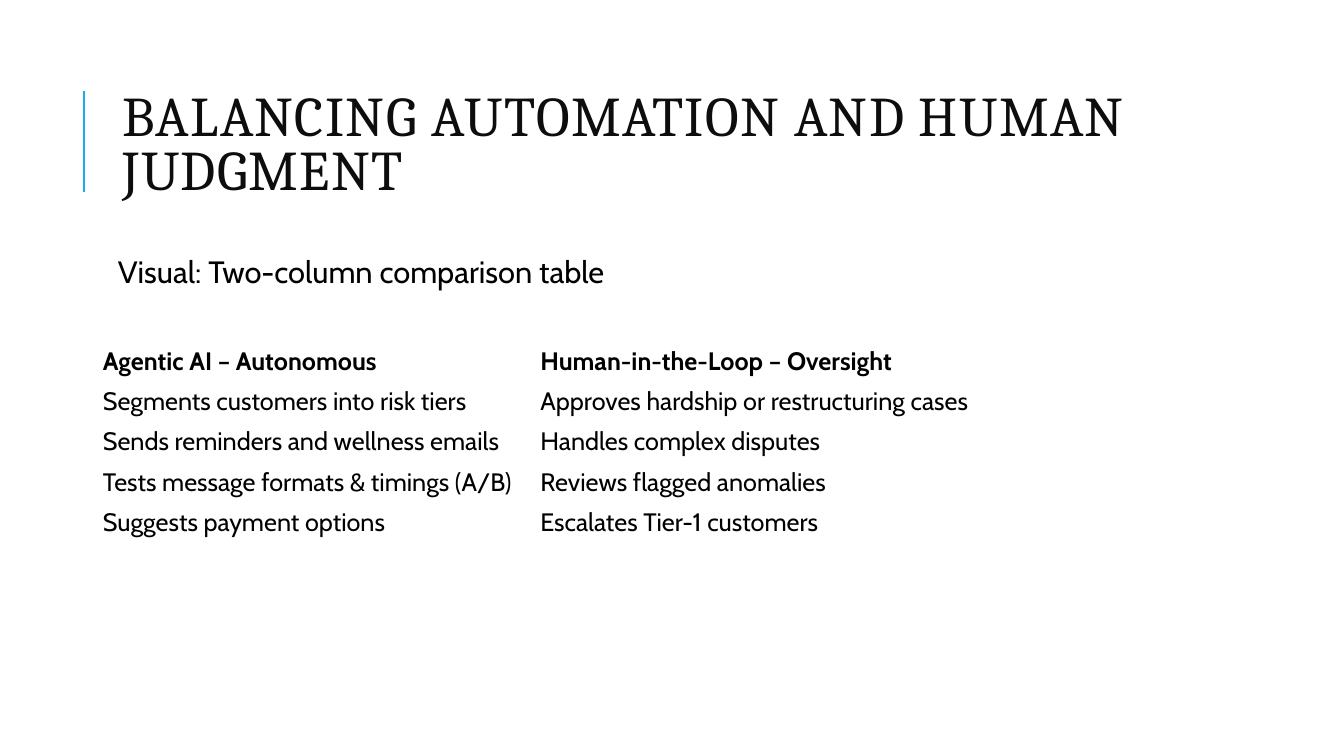
from pptx import Presentation
from pptx.dml.color import RGBColor
from pptx.enum.shapes import MSO_CONNECTOR
from pptx.enum.text import MSO_ANCHOR
from pptx.oxml.ns import qn
from pptx.util import Inches, Pt

# Content
TITLE = "BALANCING AUTOMATION AND HUMAN JUDGMENT"
SUBTITLE = "Visual: Two-column comparison table"
COMPARISON = [
    ("Agentic AI – Autonomous", "Human-in-the-Loop – Oversight"),
    ("Segments customers into risk tiers", "Approves hardship or restructuring cases"),
    ("Sends reminders and wellness emails", "Handles complex disputes"),
    ("Tests message formats & timings (A/B)", "Reviews flagged anomalies"),
    ("Suggests payment options", "Escalates Tier-1 customers"),
]

# Layout and style, lengths in inches
TEXT_LEFT, TEXT_WIDTH = 1.12, 10.63
TABLE_LEFT, TABLE_TOP = 0.92, 3.38
COLUMN_WIDTHS = (4.34, 7.29)
ROW_HEIGHT = 0.4
BLACK, NEAR_BLACK, ACCENT = "000000", "0D0D0D", "1CADE4"


def color(hex_code):
    return RGBColor.from_string(hex_code)


def write(text_frame, text, font, size, hex_code, bold=False):
    text_frame.text = text
    para = text_frame.paragraphs[0]
    span = para.runs[0]
    span.font.name = font
    span.font.size = Pt(size)
    span.font.bold = bold
    span.font.color.rgb = color(hex_code)
    return para


def add_text_box(page, top, height):
    box = page.shapes.add_textbox(
        Inches(TEXT_LEFT), Inches(top), Inches(TEXT_WIDTH), Inches(height))
    box.text_frame.word_wrap = True
    return box.text_frame


deck = Presentation()
deck.slide_width, deck.slide_height = Inches(13.33), Inches(7.5)
page = deck.slides.add_slide(deck.slide_layouts[6])

# Accent line beside the title
accent = page.shapes.add_connector(
    MSO_CONNECTOR.STRAIGHT, Inches(0.83), Inches(1.9), Inches(0.83), Inches(0.9))
accent.line.color.rgb = color(ACCENT)
accent.line.width = Pt(1.5)
properties = accent._element.spPr
properties.append(properties.makeelement(qn("a:effectLst"), {}))

# Title, with letters spaced by one point
title = add_text_box(page, 0.64, 1.64)
title.vertical_anchor = MSO_ANCHOR.MIDDLE
para = write(title, TITLE, "Cambria", 40, NEAR_BLACK)
para.line_spacing = 0.8
para.runs[0].font._element.set("spc", "100")

# Subtitle
subtitle = add_text_box(page, 2.5, 4.4)
subtitle.margin_left = subtitle.margin_right = Inches(0.05)
para = write(subtitle, SUBTITLE, "Cabin", 22, BLACK)
para.line_spacing = 0.9
para.space_before, para.space_after = Pt(12), Pt(2)

# Comparison table
table = page.shapes.add_table(
    len(COMPARISON), len(COLUMN_WIDTHS), Inches(TABLE_LEFT), Inches(TABLE_TOP),
    Inches(sum(COLUMN_WIDTHS)), Inches(ROW_HEIGHT * len(COMPARISON))).table
table.first_row = table.horz_banding = False
for column, width in zip(table.columns, COLUMN_WIDTHS):
    column.width = Inches(width)
for row_index, texts in enumerate(COMPARISON):
    for column_index, text in enumerate(texts):
        cell = table.cell(row_index, column_index)
        cell.fill.background()
        cell.vertical_anchor = MSO_ANCHOR.MIDDLE
        write(cell.text_frame, text, "Cabin", 18, BLACK, bold=row_index == 0)

deck.save("out.pptx")
